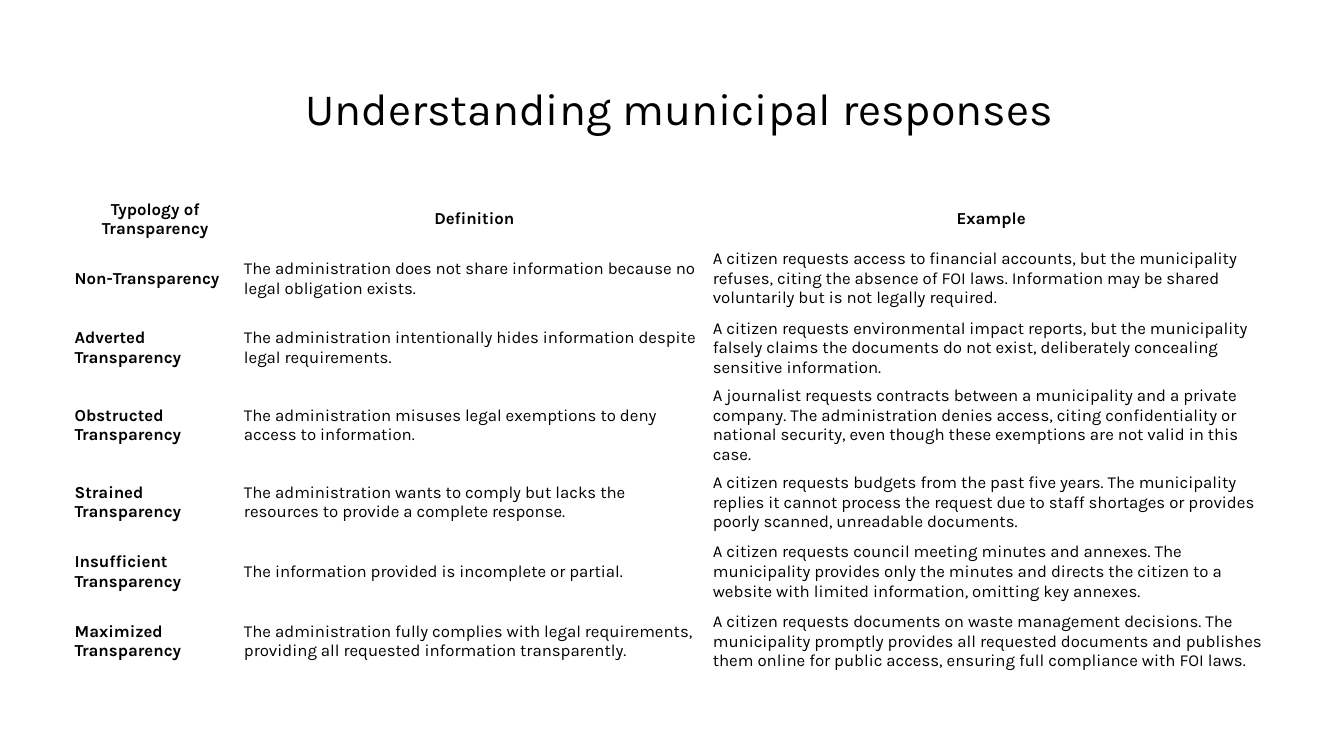
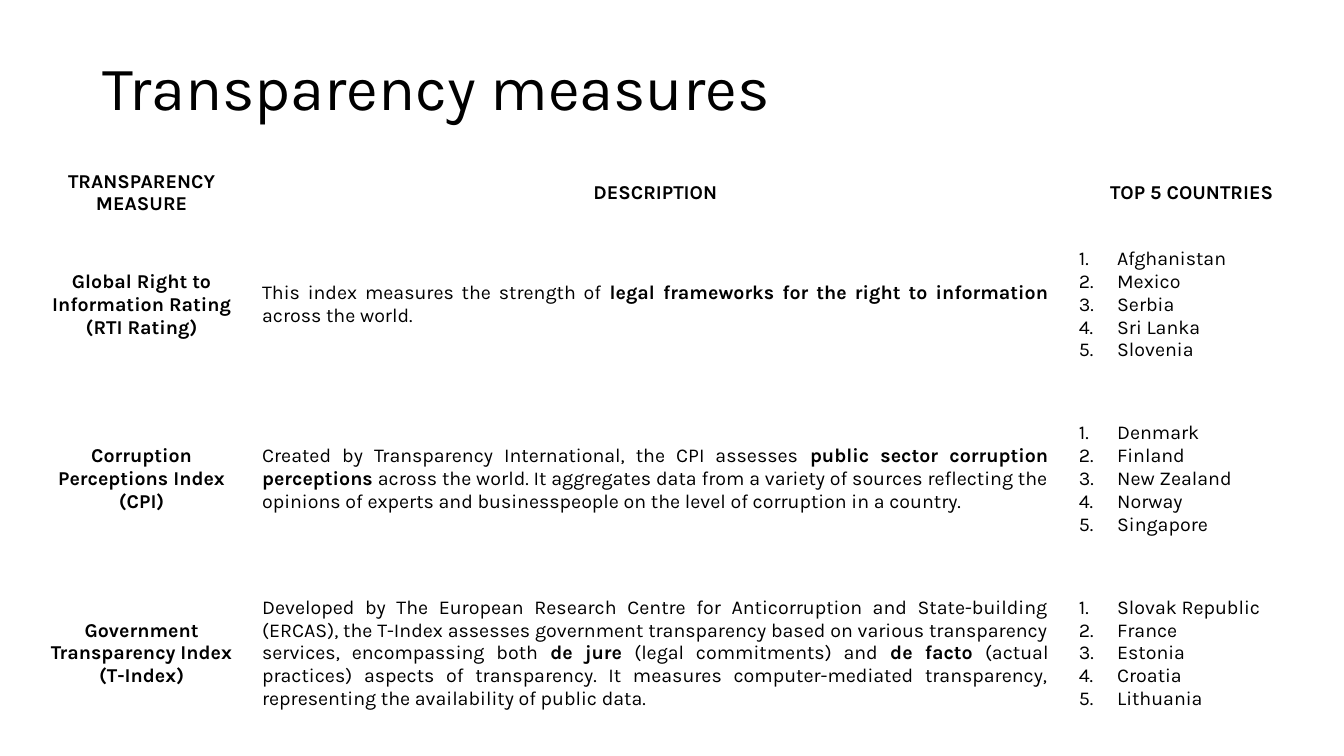
"""Two slides of tables on municipal transparency and its measures."""
from lxml import etree
from pptx import Presentation
from pptx.dml.color import RGBColor
from pptx.enum import text
from pptx.oxml import ns
from pptx.util import Inches, Pt

COLOURS = {"ink": "000000", "paper": "FFFFFF"}
FONT = "Karla"
LEFT, CENTER, JUSTIFY = text.PP_ALIGN.LEFT, text.PP_ALIGN.CENTER, text.PP_ALIGN.JUSTIFY
MIDDLE = text.MSO_ANCHOR.MIDDLE


def write(frame, lines, size, align, bold=False, numbered=False):
    for index, line in enumerate(lines.split("\n")):
        para = frame.paragraphs[0] if index == 0 else frame.add_paragraph()
        para.alignment = align
        if numbered:
            properties = para._p.get_or_add_pPr()
            properties.set("marL", str(Inches(0.38)))
            properties.set("indent", str(-Inches(0.38)))
            etree.SubElement(properties, ns.qn("a:buAutoNum"), type="arabicPeriod")
        for position, part in enumerate(line.split("*")):
            if part:
                span = para.add_run()
                span.text = part
                span.font.name = FONT
                span.font.size = Pt(size)
                span.font.bold = bold or position % 2 == 1
                span.font.color.rgb = RGBColor.from_string(COLOURS["ink"])


def add_page(title, table):
    page = deck.slides.add_slide(deck.slide_layouts[6])
    page.background.fill.solid()
    page.background.fill.fore_color.rgb = RGBColor.from_string(COLOURS["paper"])

    box = page.shapes.add_textbox(*[Inches(length) for length in title["at"]])
    box.text_frame.word_wrap = True
    box.text_frame.vertical_anchor = MIDDLE
    write(box.text_frame, title["text"], title["size"], title["align"])
    box.text_frame.paragraphs[0].line_spacing = 0.9

    rows, widths, heights = table["rows"], table["widths"], table["heights"]
    left, top = table["at"]
    grid = page.shapes.add_table(
        len(rows), len(widths), Inches(left), Inches(top),
        Inches(sum(widths)), Inches(sum(heights))).table
    grid.first_row = grid.horz_banding = False
    for column, width in zip(grid.columns, widths):
        column.width = Inches(width)
    for row_index, (row, height) in enumerate(zip(rows, heights)):
        grid.rows[row_index].height = Inches(height)
        for column_index, content in enumerate(row):
            heading = row_index == 0
            label = heading or column_index == 0
            cell = grid.cell(row_index, column_index)
            cell.fill.background()
            cell.vertical_anchor = MIDDLE
            side, edge = table["label_margin"] if label else table["body_margin"]
            cell.margin_left = cell.margin_right = Inches(side)
            cell.margin_top = cell.margin_bottom = Inches(edge)
            write(cell.text_frame, content, table["size"],
                  CENTER if heading else table["aligns"][column_index], bold=label,
                  numbered=not heading and column_index == table["numbered"])


deck = Presentation()
deck.slide_width, deck.slide_height = Inches(13.33), Inches(7.5)

responses = [
    ("Typology of Transparency", "Definition", "Example"),
    ("Non-Transparency",
     "The administration does not share information because no legal obligation exists.",
     "A citizen requests access to financial accounts, but the municipality refuses, citing "
     "the absence of FOI laws. Information may be shared voluntarily but is not legally required."),
    ("Adverted Transparency",
     "The administration intentionally hides information despite legal requirements.",
     "A citizen requests environmental impact reports, but the municipality falsely claims "
     "the documents do not exist, deliberately concealing sensitive information."),
    ("Obstructed Transparency",
     "The administration misuses legal exemptions to deny access to information.",
     "A journalist requests contracts between a municipality and a private company. The "
     "administration denies access, citing confidentiality or national security, even though "
     "these exemptions are not valid in this case."),
    ("Strained Transparency",
     "The administration wants to comply but lacks the resources to provide a complete response.",
     "A citizen requests budgets from the past five years. The municipality replies it cannot "
     "process the request due to staff shortages or provides poorly scanned, unreadable documents."),
    ("Insufficient Transparency",
     "The information provided is incomplete or partial.",
     "A citizen requests council meeting minutes and annexes. The municipality provides only "
     "the minutes and directs the citizen to a website with limited information, omitting key annexes."),
    ("Maximized Transparency",
     "The administration fully complies with legal requirements, providing all requested "
     "information transparently.",
     "A citizen requests documents on waste management decisions. The municipality promptly "
     "provides all requested documents and publishes them online for public access, ensuring "
     "full compliance with FOI laws."),
]

measures = [
    ("TRANSPARENCY MEASURE", "DESCRIPTION", "TOP 5 COUNTRIES"),
    ("Global Right to Information Rating\n(RTI Rating)",
     "This index measures the strength of *legal frameworks for the right to information "
     "*across the world.",
     "Afghanistan\nMexico\nSerbia\nSri Lanka\nSlovenia"),
    ("Corruption Perceptions Index\n(CPI)",
     "Created by Transparency International, the CPI assesses *public sector corruption "
     "perceptions* across the world. It aggregates data from a variety of sources reflecting "
     "the opinions of experts and businesspeople on the level of corruption in a country.",
     "Denmark\nFinland\nNew Zealand\nNorway\nSingapore"),
    ("Government Transparency Index\n(T-Index)",
     "Developed by The European Research Centre for Anticorruption and State-building (ERCAS), "
     "the T-Index assesses government transparency based on various transparency services, "
     "encompassing both *de jure *(legal commitments) and *de facto *(actual practices) aspects "
     "of transparency. It measures computer-mediated transparency, representing the "
     "availability of public data.",
     "Slovak Republic\nFrance\nEstonia\nCroatia\nLithuania"),
]

add_page(
    {"text": "Understanding municipal responses", "at": (0.61, 0.7, 12.26, 0.81),
     "size": 32, "align": CENTER},
    {"rows": responses, "at": (0.7, 1.93), "widths": (1.68, 4.65, 5.6),
     "heights": [0.49] + [0.69] * 6, "size": 12, "aligns": (LEFT, LEFT, LEFT),
     "label_margin": (0.04, 0.02), "body_margin": (0.04, 0.02), "numbered": None})
add_page(
    {"text": "Transparency measures", "at": (0.92, 0.17, 11.5, 1.45),
     "size": 44, "align": LEFT},
    {"rows": measures, "at": (0.36, 1.67), "widths": (2.09, 8.1, 2.54),
     "heights": [0.26] + [1.73] * 3, "size": 14, "aligns": (CENTER, JUSTIFY, LEFT),
     "label_margin": (0.03, 0.01), "body_margin": (0.15, 0.15), "numbered": 2})

deck.save("out.pptx")
